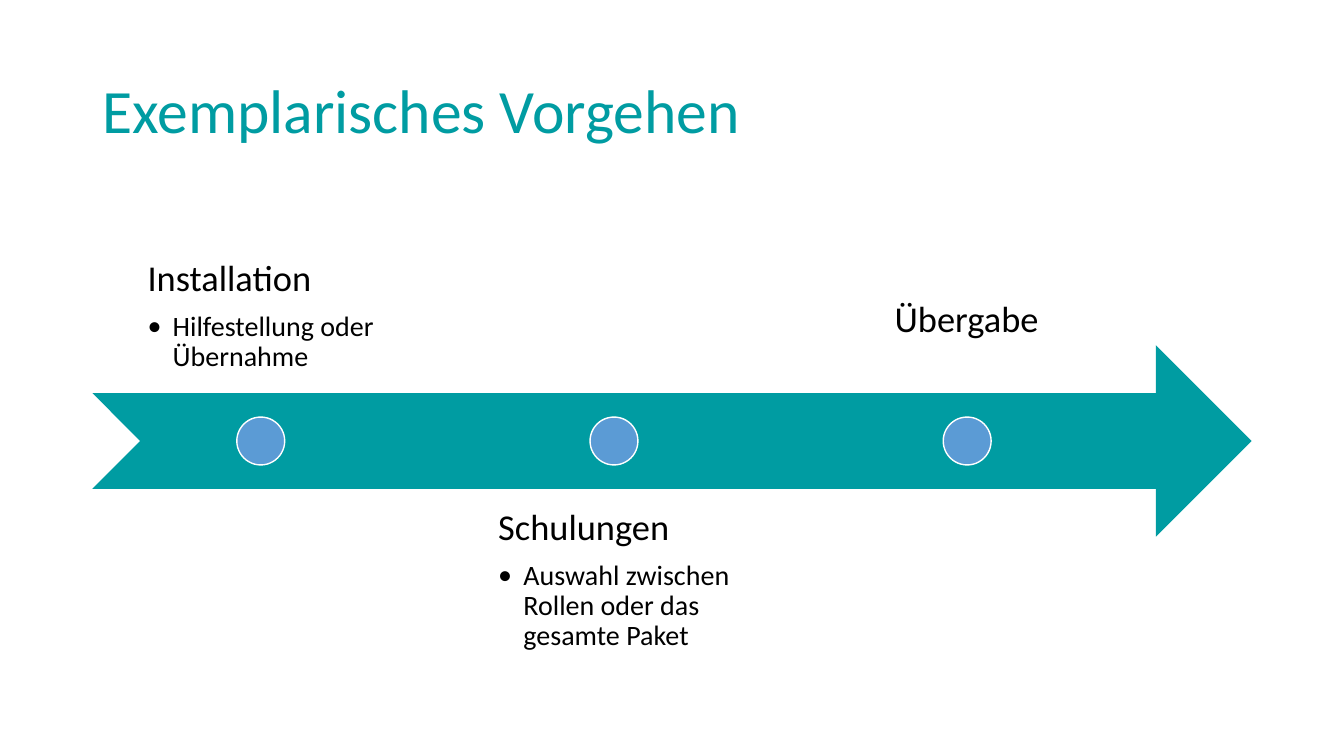
from dataclasses import dataclass

from lxml.etree import SubElement
from pptx import Presentation
from pptx.dml.color import RGBColor
from pptx.enum.shapes import MSO_SHAPE as Preset
from pptx.enum.text import MSO_ANCHOR as Anchor, MSO_AUTO_SIZE as AutoSize, PP_ALIGN as Align
from pptx.oxml.ns import qn
from pptx.util import Pt

FONT = "Calibri"
TEAL, BLUE, BLACK, WHITE = "009CA2", "5B9BD5", "000000", "FFFFFF"

LEFT, WIDTH = 66, 828
ARROW_TOP, ARROW_HEIGHT = 246.6, 136.8
ARROW_MIDDLE = ARROW_TOP + ARROW_HEIGHT / 2
STEP_WIDTH, STEP_PITCH = 240.5, 252.3
ABOVE_TOP, BELOW_TOP = 144, 349.2
DOT_SIZE = 34.2
INSET = 14.4
BULLET_INDENT = 18


@dataclass(frozen=True)
class Step:
    """One stage; shift and lift move its text right and up within its box."""
    name: str
    shift: float
    detail: str = ""
    above: bool = True
    lift: float = 0


STEPS = [
    Step("Installation", 25, "Hilfestellung oder Übernahme"),
    Step("Schulungen", 23.2, "Auswahl zwischen Rollen oder das gesamte Paket", above=False),
    Step("Übergabe", 54, lift=46.7),
]


def rgb(value: str) -> RGBColor:
    return RGBColor.from_string(value)


def format_para(para, size: float, color: str, space_after: float = 0) -> None:
    para.alignment = Align.LEFT
    para.line_spacing = 0.9
    para.space_before = Pt(0)
    para.space_after = Pt(space_after)
    for span in para.runs:
        span.font.name = FONT
        span.font.size = Pt(size)
        span.font.color.rgb = rgb(color)


def add_bullet(para) -> None:
    properties = para._p.get_or_add_pPr()
    properties.set("marL", str(Pt(BULLET_INDENT)))
    properties.set("indent", str(-Pt(BULLET_INDENT)))
    SubElement(properties, qn("a:buFont"), typeface=FONT)
    SubElement(properties, qn("a:buChar"), char="•")


def add_title(page, text: str) -> None:
    title = page.shapes.title
    title.left, title.top, title.width, title.height = Pt(LEFT), Pt(28.8), Pt(WIDTH), Pt(104.4)
    frame = title.text_frame
    frame.text = text
    frame.auto_size = AutoSize.NONE
    frame.vertical_anchor = Anchor.MIDDLE
    format_para(frame.paragraphs[0], 44, TEAL)


def add_shape(page, preset: Preset, left: float, top: float, width: float, height: float, fill: str):
    shape = page.shapes.add_shape(preset, Pt(left), Pt(top), Pt(width), Pt(height))
    shape.shadow.inherit = False
    shape.fill.solid()
    shape.fill.fore_color.rgb = rgb(fill)
    shape.line.fill.background()
    return shape


def add_step(page, step: Step, left: float) -> None:
    """Place the step's text beside the arrow and its dot on the arrow."""
    top = ABOVE_TOP if step.above else BELOW_TOP
    box = page.shapes.add_textbox(Pt(left), Pt(top), Pt(STEP_WIDTH), Pt(ARROW_HEIGHT))
    frame = box.text_frame
    frame.word_wrap = True
    frame.vertical_anchor = Anchor.BOTTOM if step.above else Anchor.TOP
    frame.margin_right = frame.margin_top = Pt(INSET)
    frame.margin_left = Pt(INSET + step.shift)
    frame.margin_bottom = Pt(INSET + step.lift)
    frame.text = step.name
    format_para(frame.paragraphs[0], 26, BLACK, space_after=9.1)
    if step.detail:
        para = frame.add_paragraph()
        para.text = step.detail
        format_para(para, 20, BLACK, space_after=3)
        add_bullet(para)

    dot_left = left + (STEP_WIDTH - DOT_SIZE) / 2
    dot_top = ARROW_MIDDLE - DOT_SIZE / 2
    dot = add_shape(page, Preset.OVAL, dot_left, dot_top, DOT_SIZE, DOT_SIZE, BLUE)
    dot.line.color.rgb = rgb(WHITE)
    dot.line.width = Pt(1)


def main() -> None:
    deck = Presentation()
    deck.slide_width, deck.slide_height = Pt(960), Pt(540)
    title_only = deck.slide_layouts.get_by_name("Title Only")
    page = deck.slides.add_slide(title_only)
    add_title(page, "Exemplarisches Vorgehen")
    add_shape(page, Preset.NOTCHED_RIGHT_ARROW, LEFT, ARROW_TOP, WIDTH, ARROW_HEIGHT, TEAL)
    for index, step in enumerate(STEPS):
        add_step(page, step, LEFT + index * STEP_PITCH)
    deck.save("out.pptx")


if __name__ == "__main__":
    main()
